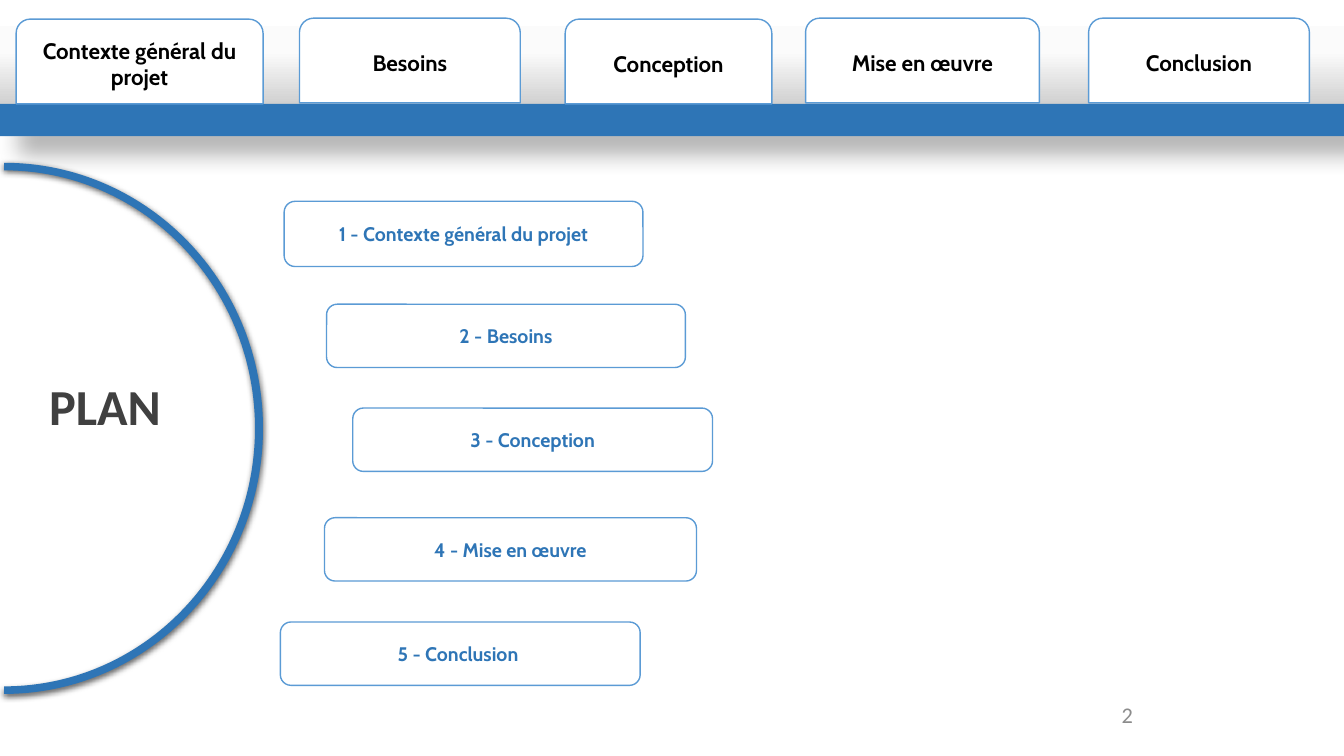
"""Build the plan slide with its navigation tabs and numbered sections."""
import copy
import pptx
import pptx.dml.color
import pptx.enum.shapes
import pptx.enum.text
import pptx.oxml.ns
import pptx.util
from lxml import etree

Pt = pptx.util.Pt
Shape = pptx.enum.shapes.MSO_SHAPE
Align = pptx.enum.text.PP_ALIGN
Anchor = pptx.enum.text.MSO_ANCHOR
qn = pptx.oxml.ns.qn

COLORS = {"white": "FFFFFF", "pale": "FBFBFB", "grey": "D1D1D1", "blue": "2E75B6",
          "outline": "5B9BD5", "black": "000000", "title": "404040", "number": "8C8C8C"}
HEADER_STOPS = [(0, "white"), (0.5, "pale"), (1, "grey")]
SLIDE_W, SLIDE_H = 960, 540
HEADER_H, BAND_H = 74.2, 23
TAB_H = 60.5
TABS = [
    ("Contexte général du projet", 11.5, 13.7, 176.4),
    ("Besoins", 213.9, 13, 157.7),
    ("Conception", 403.7, 13.7, 147.6),
    ("Mise en œuvre", 575.4, 13, 167),
    ("Conclusion", 777.6, 13, 157.7),
]
SECTIONS = [
    ("Contexte général du projet", 203, 143.8, 256.3, 46.6),
    ("Besoins", 233.3, 217.3, 256.3, 45.2),
    ("Conception", 252, 291.5, 257, 45.2),
    ("Mise en œuvre", 231.8, 369.8, 265.7, 45.2),
    ("Conclusion ", 200.3, 444.3, 257, 45.2),
]
ARC_X, ARC_Y = 2.9, 306
ARC_OUTER, ARC_INNER = (185, 189.7), (179.3, 184.3)
BEZIER = 0.5523
UNITS_PER_POINT = 100


def rgb(name):
    return pptx.dml.color.RGBColor.from_string(COLORS[name])


def paint(shape, fill, outline=None):
    shape.shadow.inherit = False
    shape.fill.solid()
    shape.fill.fore_color.rgb = rgb(fill)
    if outline:
        shape.line.color.rgb = rgb(outline)
        shape.line.width = Pt(1)
    else:
        shape.line.fill.background()


def cast_shadow(shape, alpha, blur, distance, angle):
    effects = shape.element.spPr.find(qn("a:effectLst"))
    shadow = etree.SubElement(effects, qn("a:outerShdw"), blurRad=str(Pt(blur)),
                              dist=str(Pt(distance)), dir=str(angle * 60000),
                              algn="tl", rotWithShape="0")
    color = etree.SubElement(shadow, qn("a:srgbClr"), val=COLORS["black"])
    etree.SubElement(color, qn("a:alpha"), val=str(alpha * 1000))


def write(shape, text, size, font, color, align, bold=True, anchor=Anchor.MIDDLE):
    frame = shape.text_frame
    frame.word_wrap = True
    frame.vertical_anchor = anchor
    paragraph = frame.paragraphs[0]
    paragraph.text = text
    paragraph.alignment = align
    paragraph.font.size = Pt(size)
    paragraph.font.name = font
    paragraph.font.bold = bold
    paragraph.font.color.rgb = rgb(color)


def add_block(kind, left, top, width, height, fill="white", outline=None):
    block = shapes.add_shape(kind, Pt(left), Pt(top), Pt(width), Pt(height))
    paint(block, fill, outline)
    return block


def half_ellipse(radii, direction):
    unit_points = [(0, -1), (BEZIER, -1), (1, -BEZIER), (1, 0),
                   (1, BEZIER), (BEZIER, 1), (0, 1)]
    return [((ARC_X + radii[0] * x) * UNITS_PER_POINT,
             (ARC_Y + radii[1] * y * direction) * UNITS_PER_POINT) for x, y in unit_points]


def curve(segments):
    for first in range(0, len(segments), 3):
        bezier = etree.Element(qn("a:cubicBezTo"))
        segments[first].addprevious(bezier)
        for segment in segments[first:first + 3]:
            bezier.append(segment[0])
            segment.getparent().remove(segment)


deck = pptx.Presentation()
deck.slide_width, deck.slide_height = Pt(SLIDE_W), Pt(SLIDE_H)
shapes = deck.slides.add_slide(deck.slide_layouts[6]).shapes

header = add_block(Shape.RECTANGLE, 0, 0, SLIDE_W, HEADER_H)
header.fill.gradient()
header.fill.gradient_angle = 270
stop_list = header.element.spPr.find(qn("a:gradFill")).find(qn("a:gsLst"))
stop_list.append(copy.deepcopy(stop_list[-1]))
for stop, (position, color) in zip(header.fill.gradient_stops, HEADER_STOPS):
    stop.position = position
    stop.color.rgb = rgb(color)

band = add_block(Shape.RECTANGLE, 0, HEADER_H, SLIDE_W, BAND_H, "blue")
cast_shadow(band, 30, 15, 18, 45)

start, *rim = half_ellipse(ARC_OUTER, 1) + half_ellipse(ARC_INNER, -1)
builder = shapes.build_freeform(*start, scale=Pt(1) / UNITS_PER_POINT)
builder.add_line_segments(rim, close=True)
arc = builder.convert_to_shape()
segments = list(arc.element.iter(qn("a:lnTo")))
curve(segments[:6])
curve(segments[7:13])
paint(arc, "blue")
cast_shadow(arc, 63, 4.5, 1.5, 90)

for label, left, top, width in TABS:
    tab = add_block(Shape.ROUND_2_SAME_RECTANGLE, left, top, width, TAB_H, "white", "outline")
    write(tab, label, 16, "Cabin", "black", Align.CENTER)

for number, (label, *box) in enumerate(SECTIONS, 1):
    section = add_block(Shape.ROUNDED_RECTANGLE, *box, "white", "outline")
    write(section, f"{number} - {label}", 14, "Cabin", "blue", Align.CENTER)

plan = shapes.add_textbox(Pt(28.1), Pt(264.2), Pt(129.6), Pt(51.1))
write(plan, "PLAN", 36, "Calibri", "title", Align.LEFT, anchor=Anchor.TOP)

page_number = shapes.add_textbox(Pt(600.3), Pt(496.1), Pt(216), Pt(28.8))
write(page_number, "2", 16, "Calibri", "number", Align.RIGHT, bold=False)

deck.save("out.pptx")
